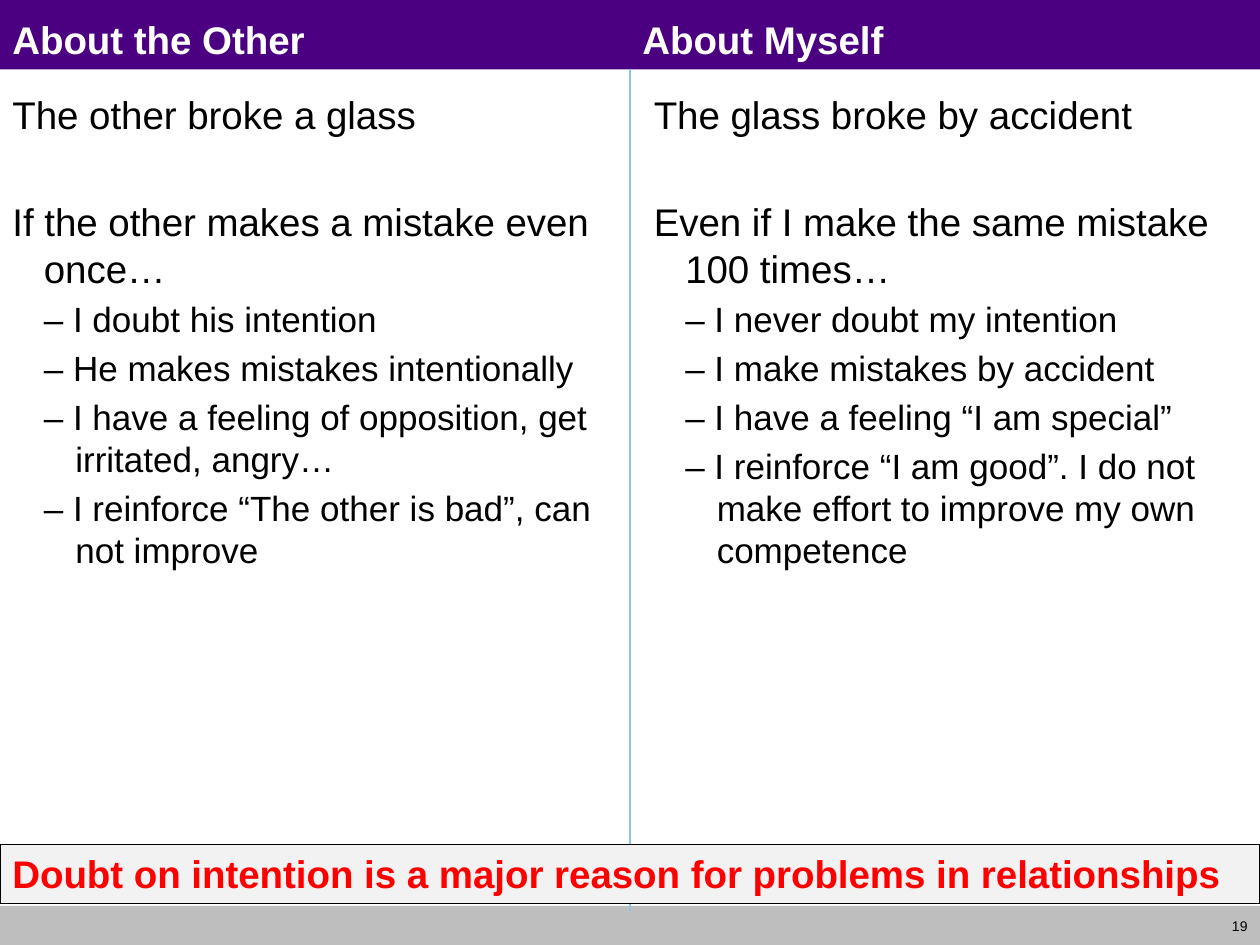
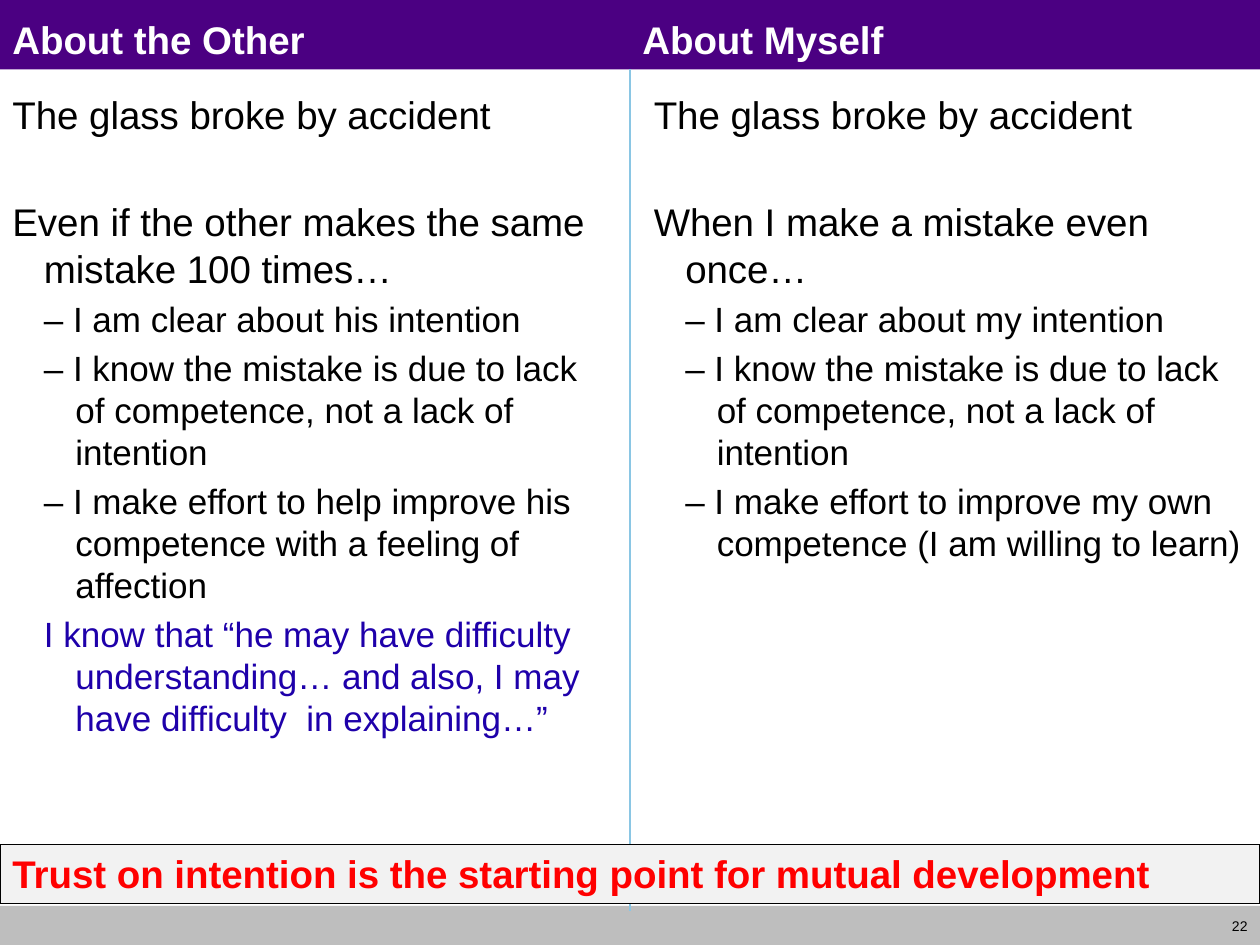
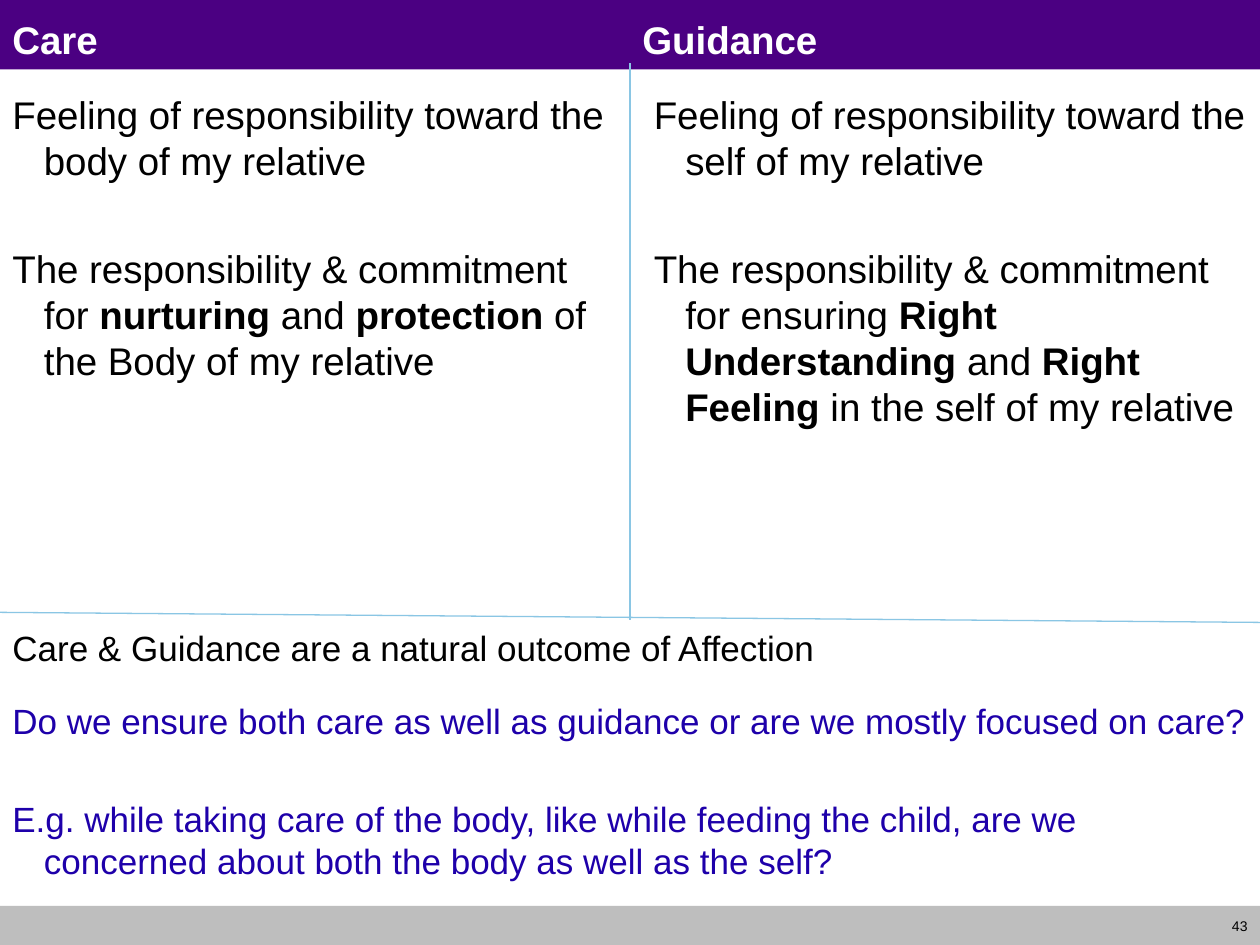
from lxml import etree
from pptx import Presentation
from pptx import util as u
from pptx.dml import color
from pptx.enum import shapes, text
from pptx.oxml import ns

FONT = "Arial"
PURPLE, GRAY, PALE = "4B0082", "BEBEBE", "F2F2F2"
WHITE, BLACK, RED, BLUE, SKY = "FFFFFF", "000000", "FF0000", "1E00AA", "8AC6E4"
HEAD_SIZE, POINT_SIZE = 22, 20
WIDTH, BAND_HEIGHT, FOOTER_TOP, MIDDLE = 10, 0.55, 7.19, 5
HANG = 0.25
LINE_RATIO, SPACE_RATIO = 1.2, 0.2


def rgb(value):
    return color.RGBColor.from_string(value)


def space_before(size, skipped=0):
    space = size * SPACE_RATIO
    if skipped:
        space += skipped * (LINE_RATIO + SPACE_RATIO)
    return space


def add_paragraph(frame, words, size=HEAD_SIZE, tint=BLACK, bold=False, level=None,
                  before=0, align=None, tab=None):
    para = frame.paragraphs[0]
    if para.runs:
        para = frame.add_paragraph()
    para.alignment = align
    para.space_before = u.Pt(before)
    properties = para._p.get_or_add_pPr()
    if level is not None:
        para.level = level
        properties.set("marL", str(u.Inches(HANG * (level + 1))))
        properties.set("indent", str(u.Inches(-HANG)))
    if tab:
        stops = etree.SubElement(properties, ns.qn("a:tabLst"))
        etree.SubElement(stops, ns.qn("a:tab"), pos=str(u.Inches(tab)), algn="l")
    for index, part in enumerate(words.split("*")):
        span = para.add_run()
        span.text = part
        span.font.name = FONT
        span.font.size = u.Pt(size)
        span.font.bold = bold or index % 2 == 1
        span.font.color.rgb = rgb(tint)


def add_box(page, left, top, width, height, anchor=text.MSO_ANCHOR.TOP):
    box = page.shapes.add_textbox(*map(u.Inches, (left, top, width, height)))
    box.text_frame.word_wrap = True
    box.text_frame.vertical_anchor = anchor
    return box.text_frame


def add_band(page, top, height, fill, outline=None):
    band = page.shapes.add_shape(shapes.MSO_SHAPE.RECTANGLE,
                                 *map(u.Inches, (0, top, WIDTH, height)))
    band.shadow.inherit = False
    band.fill.solid()
    band.fill.fore_color.rgb = rgb(fill)
    if outline:
        band.line.color.rgb = rgb(outline)
        band.line.width = u.Pt(0.75)
    else:
        band.line.fill.background()
    return band


def add_line(page, x1, y1, x2, y2):
    line = page.shapes.add_connector(shapes.MSO_CONNECTOR.STRAIGHT,
                                     *map(u.Inches, (x1, y1, x2, y2)))
    line.line.color.rgb = rgb(SKY)
    line.line.width = u.Pt(0.75)
    etree.SubElement(line._element.spPr, ns.qn("a:effectLst"))
    return line


def add_column(page, left, width, opening, statement, points=(), remark=None):
    frame = add_box(page, left, 0.67, width, 6.5)
    add_paragraph(frame, opening, level=0, before=space_before(HEAD_SIZE))
    add_paragraph(frame, statement, level=0, before=space_before(HEAD_SIZE, HEAD_SIZE))
    style = {"size": POINT_SIZE, "level": 1, "before": space_before(POINT_SIZE)}
    for point in points:
        add_paragraph(frame, "– " + point, **style)
    if remark:
        add_paragraph(frame, remark, tint=BLUE, **style)


def add_page(deck, number, titles, left_column, right_column):
    page = deck.slides.add_slide(deck.slide_layouts[6])
    header = add_band(page, 0, BAND_HEIGHT, PURPLE)
    add_band(page, FOOTER_TOP, 7.5 - FOOTER_TOP, GRAY)
    add_paragraph(add_box(page, 9.53, FOOTER_TOP, 0.47, 0.31, text.MSO_ANCHOR.MIDDLE),
                  str(number), size=8, align=text.PP_ALIGN.RIGHT)
    add_column(page, 0, 4.93, *left_column)
    add_column(page, 5.09, 4.91, *right_column)
    add_paragraph(add_box(page, 0, 0.08, WIDTH, 0.42), "\t".join(titles),
                  tint=WHITE, bold=True, tab=MIDDLE)
    return page, header


def add_comparison(deck, number, left_column, right_column, conclusion):
    page, header = add_page(deck, number, ("About the Other", "About Myself"),
                            left_column, right_column)
    divider = add_line(page, MIDDLE, BAND_HEIGHT, MIDDLE, 7.23)
    divider.begin_connect(header, 2)
    frame = add_band(page, 6.7, 0.47, PALE, BLACK).text_frame
    frame.word_wrap = True
    frame.auto_size = text.MSO_AUTO_SIZE.SHAPE_TO_FIT_TEXT
    frame.vertical_anchor = text.MSO_ANCHOR.TOP
    add_paragraph(frame, conclusion, tint=RED, bold=True, align=text.PP_ALIGN.LEFT)


def add_care_and_guidance(deck):
    page, _ = add_page(
        deck, 43, ("Care", "Guidance"),
        ("Feeling of responsibility toward the body of my relative",
         "The responsibility & commitment for *nurturing* and *protection*"
         " of the Body of my relative"),
        ("Feeling of responsibility toward the self of my relative",
         "The responsibility & commitment for ensuring *Right Understanding*"
         " and *Right Feeling* in the self of my relative"))
    frame = add_box(page, 0, 4.92, WIDTH, 2.27)
    questions = (
        ("Care & Guidance are a natural outcome of Affection", BLACK, 0),
        ("Do we ensure both care as well as guidance or are we mostly focused on care?",
         BLUE, 10),
        ("E.g. while taking care of the body, like while feeding the child, are we "
         "concerned about both the body as well as the self?", BLUE, POINT_SIZE))
    for words, tint, skipped in questions:
        add_paragraph(frame, words, size=POINT_SIZE, tint=tint, level=0,
                      before=space_before(POINT_SIZE, skipped))
    add_line(page, MIDDLE, 0.5, MIDDLE, 4.92)
    add_line(page, 0, 4.86, WIDTH, 4.94)


def main():
    deck = Presentation()
    deck.slide_width, deck.slide_height = u.Inches(WIDTH), u.Inches(7.5)
    accident = "The glass broke by accident"
    competence = "I know the mistake is due to lack of competence, not a lack of intention"
    add_comparison(
        deck, 19,
        ("The other broke a glass", "If the other makes a mistake even once…",
         ("I doubt his intention",
          "He makes mistakes intentionally",
          "I have a feeling of opposition, get irritated, angry…",
          "I reinforce “The other is bad”, can not improve")),
        (accident, "Even if I make the same mistake 100 times…",
         ("I never doubt my intention",
          "I make mistakes by accident",
          "I have a feeling “I am special”",
          "I reinforce “I am good”. I do not make effort to improve my own competence")),
        "Doubt on intention is a major reason for problems in relationships")
    add_comparison(
        deck, 22,
        (accident, "Even if the other makes the same mistake 100 times…",
         ("I am clear about his intention",
          competence,
          "I make effort to help improve his competence with a feeling of affection"),
         "I know that “he may have difficulty understanding… and also, "
         "I may have difficulty  in explaining…”"),
        (accident, "When I make a mistake even once…",
         ("I am clear about my intention",
          competence,
          "I make effort to improve my own competence (I am willing to learn)")),
        "Trust on intention is the starting point for mutual development")
    add_care_and_guidance(deck)
    deck.save("out.pptx")


if __name__ == "__main__":
    main()
